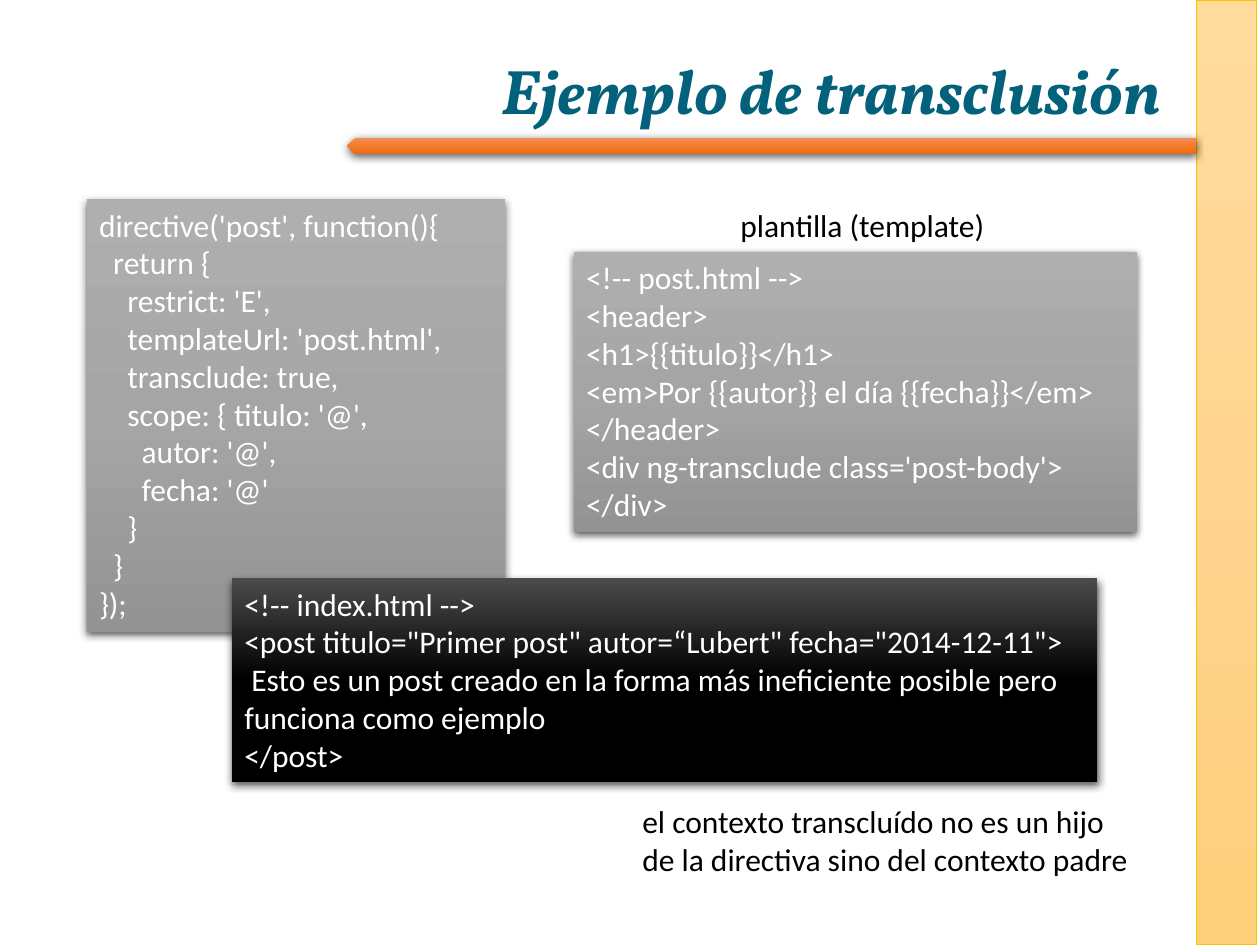
import pptx
import pptx.dml.color
import pptx.enum.shapes
import pptx.enum.text
import pptx.oxml
import pptx.oxml.ns
import pptx.util

Pt = pptx.util.Pt
SHAPES = pptx.enum.shapes.MSO_SHAPE
ALIGN = pptx.enum.text.PP_ALIGN
ANCHOR = pptx.enum.text.MSO_ANCHOR
NAMESPACE = pptx.oxml.ns.nsdecls("a")

AMBER = ("FFDB9E", "FFD590", "FFD07C")
ORANGE = ("F18C57", "F67B28", "E56C19")
GRAY = ("AFAFAF", "A5A5A5", "939393")
BLACK = ("4B4B4B", "000000", "000000")

DIRECTIVE = """directive('post', function(){
  return {
    restrict: 'E',
    templateUrl: 'post.html',
    transclude: true,
    scope: { titulo: '@',
      autor: '@',
      fecha: '@'
    }
  }
});"""

TEMPLATE = """<!-- post.html -->
<header>
<h1>{{titulo}}</h1>
<em>Por {{autor}} el día {{fecha}}</em>
</header>
<div ng-transclude class='post-body'>
</div>"""

INDEX = """<!-- index.html -->
<post titulo="Primer post" autor=“Lubert" fecha="2014-12-11">
 Esto es un post creado en la forma más ineficiente posible pero funciona como ejemplo
</post>"""


def color(value):
    return pptx.dml.color.RGBColor.from_string(value)


def fill_gradient(shape, colors):
    """Fill from top to bottom with evenly spaced colors."""
    shape.fill.gradient()
    shape.fill.gradient_angle = 270
    stops = shape.element.spPr.find(".//" + pptx.oxml.ns.qn("a:gsLst"))
    for stop in list(stops):
        stops.remove(stop)
    for index, value in enumerate(colors):
        position = index * 100000 // (len(colors) - 1)
        stops.append(pptx.oxml.parse_xml(
            f'<a:gs {NAMESPACE} pos="{position}"><a:srgbClr val="{value}"/></a:gs>'))


def add_shadow(shape):
    effects = shape.element.spPr.find(pptx.oxml.ns.qn("a:effectLst"))
    effects.append(pptx.oxml.parse_xml(
        f'<a:outerShdw {NAMESPACE} blurRad="{Pt(4.5)}" dist="{Pt(1.5)}" '
        'dir="5400000" algn="ctr" rotWithShape="0">'
        '<a:srgbClr val="000000"><a:alpha val="63000"/></a:srgbClr></a:outerShdw>'))


def add_block(page, left, top, width, height, colors, kind=SHAPES.RECTANGLE,
              line=None, shadow=True):
    block = page.shapes.add_shape(kind, Pt(left), Pt(top), Pt(width), Pt(height))
    block.shadow.inherit = False
    fill_gradient(block, colors)
    if line:
        block.line.color.rgb = color(line)
        block.line.width = Pt(0.5)
    else:
        block.line.fill.background()
    if shadow:
        add_shadow(block)
    return block


def write_text(box, text, size=18, font="Calibri", ink="000000", bold=False,
               italic=False, align=ALIGN.LEFT, anchor=ANCHOR.TOP, spacing=None):
    frame = box.text_frame
    frame.word_wrap = True
    frame.vertical_anchor = anchor
    for index, line in enumerate(text.split("\n")):
        para = frame.add_paragraph() if index else frame.paragraphs[0]
        para.alignment = align
        para.line_spacing = spacing
        span = para.add_run()
        span.text = line
        span.font.size = Pt(size)
        span.font.name = font
        span.font.bold = bold
        span.font.italic = italic
        span.font.color.rgb = color(ink)


def add_text(page, left, top, width, height, text, **style):
    box = page.shapes.add_textbox(Pt(left), Pt(top), Pt(width), Pt(height))
    write_text(box, text, **style)


def add_code(page, left, top, width, height, text, colors=GRAY):
    block = add_block(page, left, top, width, height, colors)
    write_text(block, text, ink="FFFFFF")


def main():
    deck = pptx.Presentation()
    deck.slide_width, deck.slide_height = Pt(720), Pt(540)
    page = deck.slides.add_slide(deck.slide_layouts[6])

    add_block(page, 683.5, 0, 34.5, 540, AMBER, line="FFC000", shadow=False)
    rule = add_block(page, 198.5, 79, 485, 9, ORANGE, kind=SHAPES.PENTAGON)
    rule.element.spPr.xfrm.set("flipH", "1")
    add_text(page, 49.5, 28.8, 621, 50.4, "Ejemplo de transclusión", size=36,
             font="Vollkorn", ink="04617B", bold=True, italic=True,
             align=ALIGN.RIGHT, anchor=ANCHOR.MIDDLE, spacing=0.9)

    add_code(page, 327.8, 144, 322, 160, TEMPLATE)
    add_text(page, 416, 114, 159, 29, "plantilla (template)")
    add_code(page, 49.5, 114, 239, 247, DIRECTIVE)
    add_code(page, 132.5, 330.5, 494.5, 116.5, INDEX, colors=BLACK)
    add_text(page, 360, 455, 297, 51, "el contexto transcluído no es un hijo "
             "de la directiva sino del contexto padre")

    deck.save("out.pptx")


if __name__ == "__main__":
    main()
